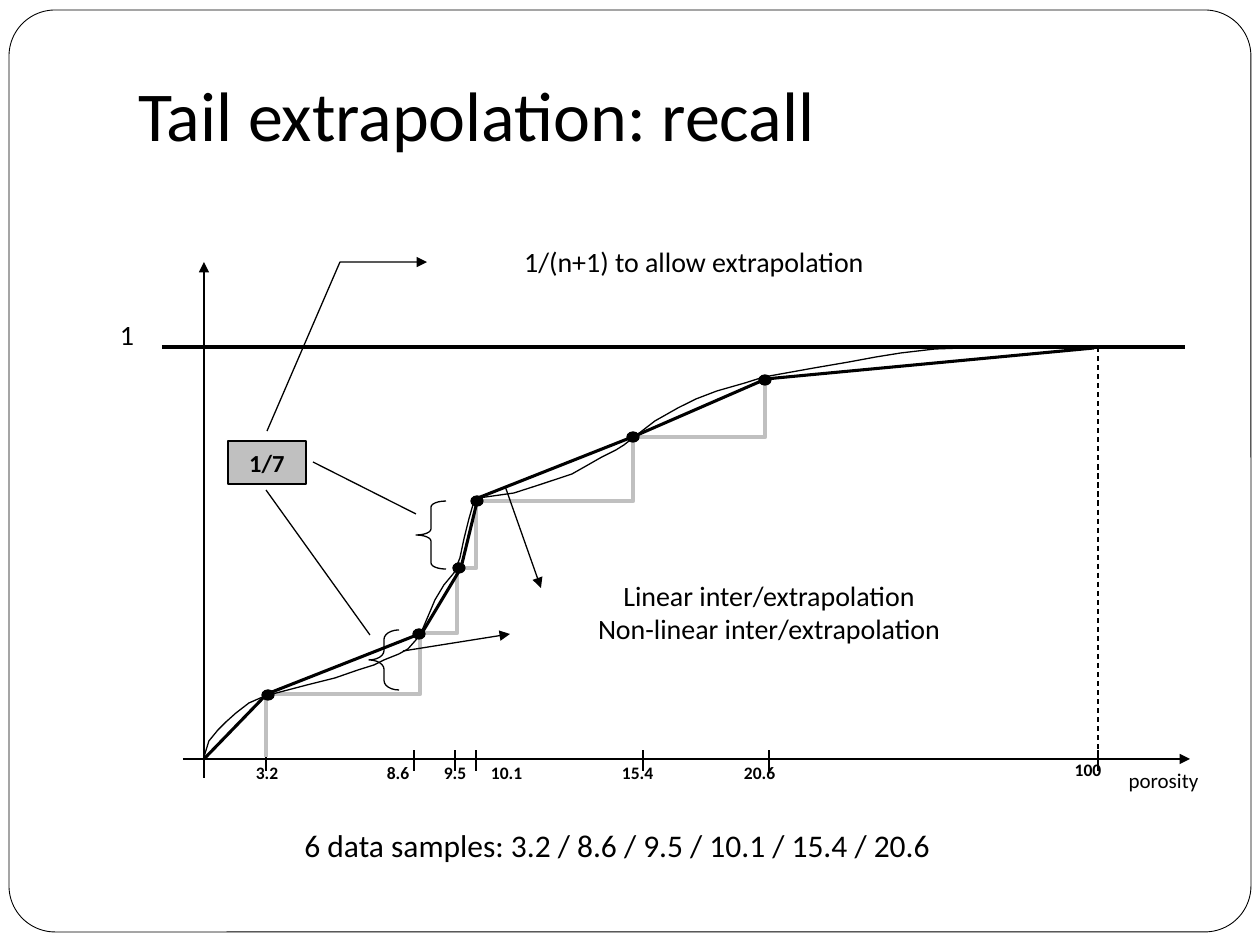
import pptx
import pptx.dml.color
import pptx.enum.dml
import pptx.enum.shapes
import pptx.enum.text
import pptx.oxml
import pptx.oxml.ns
import pptx.util

PX = 914400 / 126
COLORS = {"ink": "000000", "paper": "FFFFFF", "grey": "C0C0C0"}
SHAPES = pptx.enum.shapes.MSO_SHAPE
ALIGN = pptx.enum.text.PP_ALIGN
THIN = 0.75

TICKS = [
    ("3.2", 266, 267, 58, 756),
    ("8.6", 414, 398, 58, 756),
    ("9.5", 455, 455, 58, 756),
    ("10.1", 476, 506, 69, 756),
    ("15.4", 643, 637, 69, 756),
    ("20.6", 769, 759, 69, 756),
    ("100", 1098, 1088, 64, 753),
]
STEP_XS = [266, 420, 457, 476, 633, 765]
STEP_YS = [757, 694, 633, 568, 501, 437, 378]
SAMPLES = [(268, 695), (419, 634), (459, 568), (477, 501), (633, 437), (765, 380)]
LINEAR = [(204, 759), (267, 694), (422, 633), (461, 568),
          (478, 498), (635, 436), (766, 379), (1094, 348)]
NON_LINEAR = [
    (204, 757), (209, 741), (218, 730), (226, 722), (236, 713), (249, 703),
    (265, 696), (307, 685), (335, 678), (358, 670), (374, 665), (384, 660),
    (399, 654), (408, 649), (416, 640), (421, 633), (430, 612), (435, 600),
    (444, 585), (454, 573), (460, 558), (464, 539), (469, 519), (473, 505),
    (479, 498), (514, 493), (539, 485), (572, 474), (588, 465), (602, 457),
    (616, 450), (624, 445), (633, 438), (655, 421), (678, 408), (696, 399),
    (717, 391), (745, 383), (764, 377), (814, 368), (849, 362), (876, 357),
    (901, 353), (935, 349), (963, 348),
]


def px(*lengths):
    """Turn pixel lengths into EMU."""
    return [pptx.util.Emu(round(length * PX)) for length in lengths]


def rgb(name):
    """Look up a named colour."""
    return pptx.dml.color.RGBColor.from_string(COLORS[name])


def style_line(item, width, color="ink", arrow=False):
    """Set the stroke of a shape or connector, with an optional arrowhead."""
    item.line.color.rgb = rgb(color)
    item.line.width = pptx.util.Pt(width)
    if arrow:
        stroke = item.line._get_or_add_ln()
        head = pptx.oxml.parse_xml(
            f'<a:tailEnd {pptx.oxml.ns.nsdecls("a")} type="triangle"/>')
        stroke.append(head)


def write(frame, lines, size, bold=False, align=ALIGN.CENTER):
    """Fill a text frame with formatted lines."""
    frame.text = "\n".join(lines)
    for paragraph in frame.paragraphs:
        paragraph.alignment = align
        for run in paragraph.runs:
            run.font.name = "Calibri"
            run.font.size = pptx.util.Pt(size)
            run.font.bold = bold
            run.font.color.rgb = rgb("ink")


def add_label(slide, box, lines, size, bold=False, align=ALIGN.CENTER):
    """Add a text box that does not wrap."""
    frame = slide.shapes.add_textbox(*px(*box)).text_frame
    frame.word_wrap = False
    frame.auto_size = pptx.enum.text.MSO_AUTO_SIZE.SHAPE_TO_FIT_TEXT
    write(frame, lines, size, bold, align)


def add_title(slide, title):
    """Add the slide title, anchored to the bottom of its box."""
    frame = slide.shapes.add_textbox(*px(126, 10, 1071, 158)).text_frame
    frame.word_wrap = True
    frame.vertical_anchor = pptx.enum.text.MSO_ANCHOR.BOTTOM
    frame.margin_bottom = pptx.util.Inches(0.1)
    write(frame, [title], 40, align=ALIGN.LEFT)


def add_figure(slide, kind, box, fill=None, width=THIN, adjustments=()):
    """Add an outlined preset shape."""
    figure = slide.shapes.add_shape(kind, *px(*box))
    figure.shadow.inherit = False
    for index, value in enumerate(adjustments):
        figure.adjustments[index] = value
    if fill:
        figure.fill.solid()
        figure.fill.fore_color.rgb = rgb(fill)
    else:
        figure.fill.background()
    style_line(figure, width)
    return figure


def add_segment(slide, start, end, width=THIN, arrow=False, dashed=False):
    """Add a straight line between two points."""
    segment = slide.shapes.add_connector(
        pptx.enum.shapes.MSO_CONNECTOR.STRAIGHT, *px(*start, *end))
    segment._element.spPr.append(
        pptx.oxml.parse_xml(f'<a:effectLst {pptx.oxml.ns.nsdecls("a")}/>'))
    if dashed:
        segment.line.dash_style = pptx.enum.dml.MSO_LINE.DASH
    style_line(segment, width, arrow=arrow)


def add_polyline(slide, points, width=THIN, color="ink", arrow=False):
    """Add an open unfilled path through the points."""
    builder = slide.shapes.build_freeform(*points[0], scale=PX)
    builder.add_line_segments(points[1:], close=False)
    curve = builder.convert_to_shape()
    curve.shadow.inherit = False
    curve.fill.background()
    style_line(curve, width, color, arrow)


def add_axes(slide):
    """Draw the axes, ticks, tick labels and upper limit."""
    add_segment(slide, (1098, 347), (1098, 759), dashed=True)
    add_segment(slide, (204, 778), (204, 262), arrow=True)
    add_segment(slide, (183, 759), (1190, 759), arrow=True)
    add_segment(slide, (162, 347), (1185, 347), 2.75)
    add_label(slide, (1110, 761, 107, 38), ["porosity"], 12)
    add_label(slide, (105, 311, 44, 47), ["1"], 16)
    for value, tick, center, width, top in TICKS:
        add_segment(slide, (tick, 771), (tick, 750))
        add_label(slide, (center - width // 2, top, width, 34), [value], 10, True)


def add_step_note(slide):
    """Mark the step height 1/7 and explain it."""
    add_figure(slide, SHAPES.LEFT_BRACE, (416, 501, 30, 68), adjustments=(0.2, 0.5))
    add_figure(slide, SHAPES.LEFT_BRACE, (369, 630, 30, 60), adjustments=(0.31, 0.5))
    add_segment(slide, (370, 635), (266, 490))
    add_segment(slide, (416, 514), (313, 462))
    step = add_figure(slide, SHAPES.RECTANGLE, (228, 441, 78, 43), "grey")
    step.text_frame.word_wrap = False
    write(step.text_frame, ["1/7"], 14, True)
    add_polyline(slide, [(267, 431), (340, 262), (427, 262)], arrow=True)
    add_label(slide, (478, 238, 432, 47), ["1/(n+1) to allow extrapolation"], 16)


def add_curves(slide):
    """Draw the samples and both interpolations."""
    for x, y in SAMPLES:
        add_figure(slide, SHAPES.OVAL, (x - 6, y - 5, 12, 10), "ink")
    add_polyline(slide, LINEAR, 1.75)
    add_polyline(slide, NON_LINEAR)
    add_label(slide, (558, 572, 422, 81),
              ["Linear inter/extrapolation", "Non-linear inter/extrapolation"], 16)
    add_segment(slide, (505, 486), (541, 588), arrow=True)
    add_segment(slide, (403, 651), (510, 634), arrow=True)


def main():
    """Build and save the slide."""
    deck = pptx.Presentation()
    deck.slide_width, deck.slide_height = px(1260, 945)
    slide = deck.slides.add_slide(deck.slide_layouts[6])
    add_figure(slide, SHAPES.ROUNDED_RECTANGLE, (9, 10, 1242, 922), "paper", 0.5, (0.05,))
    add_title(slide, "Tail extrapolation: recall")
    add_label(slide, (292, 820, 659, 50),
              ["6 data samples: 3.2 / 8.6 / 9.5 / 10.1 / 15.4 / 20.6"], 18,
              align=ALIGN.LEFT)
    add_axes(slide)
    stairs = [(x, y) for x, bottom, top in zip(STEP_XS, STEP_YS, STEP_YS[1:])
              for y in (bottom, top)]
    add_polyline(slide, stairs, 2.75, "grey")
    add_step_note(slide)
    add_curves(slide)
    deck.save("out.pptx")


if __name__ == "__main__":
    main()
